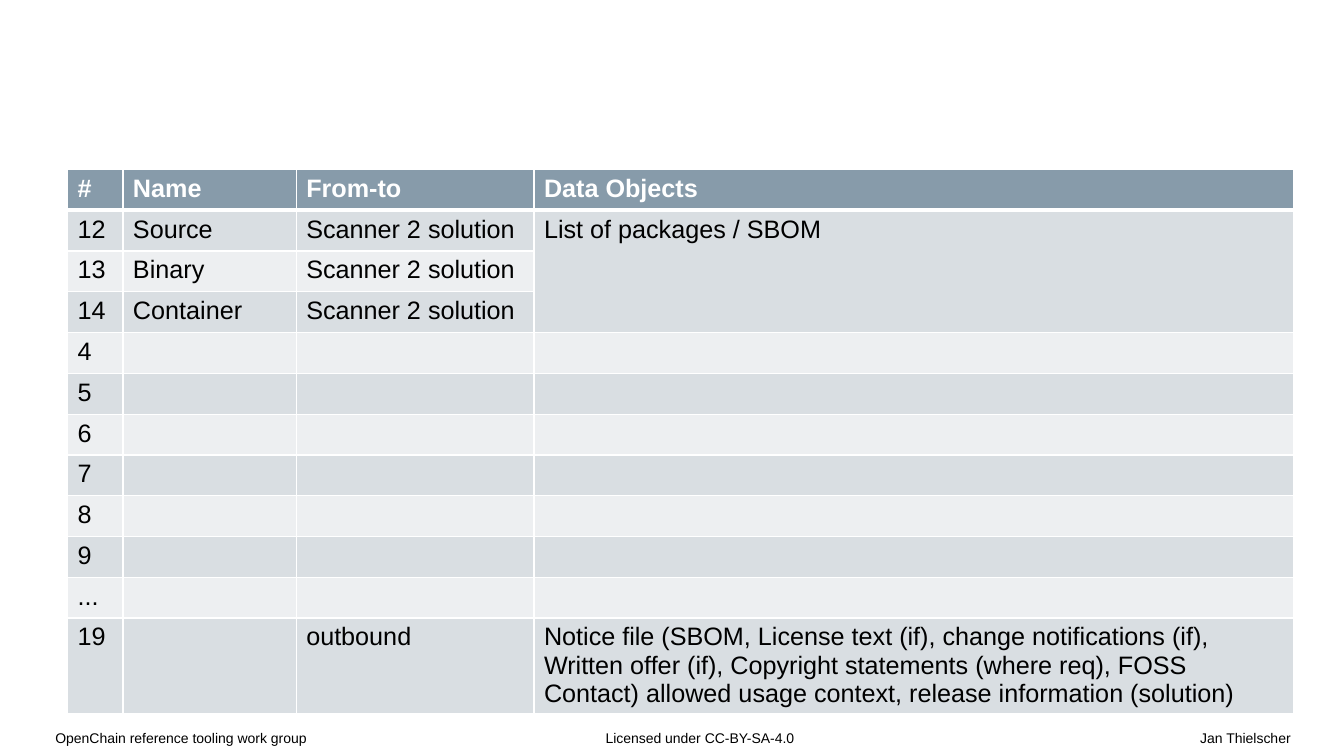
from typing import NamedTuple

from lxml.etree import SubElement
from pptx import Presentation
from pptx.dml.color import RGBColor
from pptx.enum.text import PP_ALIGN
from pptx.oxml.ns import qn
from pptx.util import Emu, Pt

BLACK = RGBColor(0x00, 0x00, 0x00)
WHITE = RGBColor(0xFF, 0xFF, 0xFF)
HEADER = RGBColor(0x87, 0x9B, 0xAA)
BANDS = (RGBColor(0xED, 0xEF, 0xF1), RGBColor(0xD9, 0xDE, 0xE2))


class Footer(NamedTuple):
    text: str
    left: int
    width: int
    inset_left: int = 0
    inset_right: int = 0
    align: PP_ALIGN = PP_ALIGN.LEFT


FOOTERS = (
    Footer("OpenChain reference tooling work group", 62, 680, inset_left=48),
    Footer("Licensed under CC-BY-SA-4.0", 1064, 602, inset_left=138),
    Footer("Jan Thielscher", 828, 1840, inset_right=106, align=PP_ALIGN.RIGHT),
)
SCANNER = "Scanner 2 solution"
ROWS = (
    ("#", "Name", "From-to", "Data Objects"),
    ("12", "Source", SCANNER, "List of packages / SBOM"),
    ("13", "Binary", SCANNER, ""),
    ("14", "Container", SCANNER, ""),
    *((n, "", "", "") for n in ("4", "5", "6", "7", "8", "9", "...")),
    ("19", "", "outbound",
     "Notice file (SBOM, License text (if), change notifications (if), "
     "Written offer (if), Copyright statements (where req), FOSS Contact) "
     "allowed usage context, release information (solution)"),
)
COL_WIDTHS = (110, 344, 472, 1508)
ROW_HEIGHT = 81
TABLE_HEIGHT = 1092


def px(n: int) -> Emu:
    return Emu(n * 4572)


def write(tf, text: str, *, size: int, color: RGBColor = BLACK, bold: bool = False,
          align: PP_ALIGN = PP_ALIGN.LEFT, spacing: float = 1.0) -> None:
    p = tf.paragraphs[0]
    p.alignment = align
    p.line_spacing = spacing
    r = p.add_run()
    r.text = text
    r.font.name = "Arial"
    r.font.size = Pt(size)
    r.font.bold = bold
    r.font.color.rgb = color


def add_footer(s, footer: Footer) -> None:
    tf = s.shapes.add_textbox(px(footer.left), px(1444), px(footer.width), px(56)).text_frame
    tf.word_wrap = True
    tf.margin_left, tf.margin_right = px(footer.inset_left), px(footer.inset_right)
    tf.margin_top, tf.margin_bottom = 0, px(26)
    write(tf, footer.text, size=10, align=footer.align, spacing=1.1)


def add_borders(cell, *, top: int, bottom: int) -> None:
    tc_pr = cell._tc.get_or_add_tcPr()
    for tag, width in (("a:lnL", 1), ("a:lnR", 1), ("a:lnT", top), ("a:lnB", bottom)):
        ln = SubElement(tc_pr, qn(tag), w=str(Pt(width)))
        fill = SubElement(ln, qn("a:solidFill"))
        SubElement(fill, qn("a:srgbClr"), val=str(WHITE))


def add_data_table(s) -> None:
    frame = s.shapes.add_table(len(ROWS), len(COL_WIDTHS), px(134), px(336),
                               px(sum(COL_WIDTHS)), px(TABLE_HEIGHT))
    table = frame.table
    for column, width in zip(table.columns, COL_WIDTHS):
        column.width = px(width)
    last = len(ROWS) - 1
    for i, texts in enumerate(ROWS):
        table.rows[i].height = px(ROW_HEIGHT)
        for j, text in enumerate(texts):
            cell = table.cell(i, j)
            add_borders(cell, top=3 if i == 1 else 1, bottom=1 if i else 3)
            cell.fill.solid()
            cell.fill.fore_color.rgb = BANDS[i % 2] if i else HEADER
            if i == last:
                cell.margin_bottom = 0
            if text:
                write(cell.text_frame, text, size=18, bold=i == 0,
                      color=BLACK if i else WHITE)
    table.cell(1, 3).merge(table.cell(3, 3))
    frame.height = px(TABLE_HEIGHT)


def main() -> None:
    prs = Presentation()
    prs.slide_width, prs.slide_height = px(2668), px(1500)
    s = prs.slides.add_slide(prs.slide_layouts[6])
    for footer in FOOTERS:
        add_footer(s, footer)
    add_data_table(s)
    prs.save("out.pptx")


if __name__ == "__main__":
    main()
